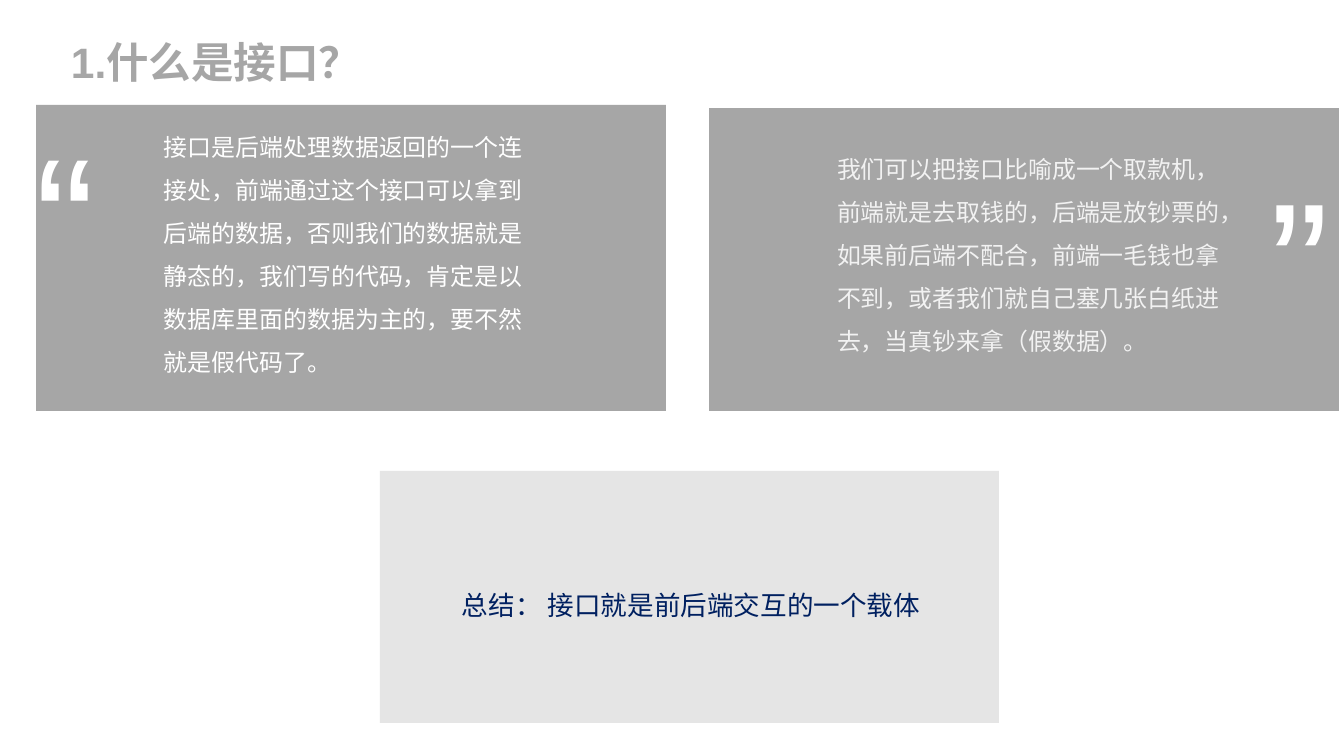
"""Builds a slide that explains what an interface is, with two quotes and a summary."""
from dataclasses import dataclass

from pptx import Presentation
from pptx.dml.color import RGBColor
from pptx.enum.shapes import MSO_SHAPE
from pptx.enum.text import MSO_ANCHOR, MSO_AUTO_SIZE, PP_ALIGN
from pptx.util import Emu, Pt

EMU_PER_PX = 9565


def px(length):
    """Turn whole pixels into EMU."""
    return Emu(length * EMU_PER_PX)


@dataclass(frozen=True)
class Theme:
    """Font, colours and type sizes of the slide."""
    font: str = "Arial"
    gray: str = "A6A6A6"
    pale: str = "E5E5E5"
    white: str = "FFFFFF"
    soft_white: str = "F2F2F2"
    navy: str = "002060"
    title_size: int = 32
    body_size: int = 18
    summary_size: int = 20
    quote_size: int = 135
    body_spacing: float = 1.5


class SlideBuilder:
    """Adds styled elements to one slide."""

    def __init__(self, slide, theme):
        """Keep the slide and its style."""
        self.slide = slide
        self.theme = theme

    def set_text(self, frame, wording, size, color, spacing=1.0, bold=False):
        """Fill a text frame and format its runs."""
        frame.text = wording
        frame.word_wrap = True
        frame.auto_size = MSO_AUTO_SIZE.NONE
        frame.margin_left = frame.margin_right = 0
        frame.margin_top = frame.margin_bottom = 0
        for paragraph in frame.paragraphs:
            paragraph.alignment = PP_ALIGN.LEFT
            paragraph.line_spacing = spacing
            for run in paragraph.runs:
                run.font.name = self.theme.font
                run.font.size = Pt(size)
                run.font.bold = bold
                run.font.color.rgb = RGBColor.from_string(color)

    def title(self, wording, left, top, width, height):
        """Place and format the title placeholder."""
        heading = self.slide.shapes.title
        heading.left, heading.top = px(left), px(top)
        heading.width, heading.height = px(width), px(height)
        self.set_text(heading.text_frame, wording, self.theme.title_size,
                      self.theme.gray, bold=True)
        heading.text_frame.vertical_anchor = MSO_ANCHOR.MIDDLE

    def panel(self, left, top, width, height, color):
        """Add a plain filled rectangle."""
        panel = self.slide.shapes.add_shape(
            MSO_SHAPE.RECTANGLE, px(left), px(top), px(width), px(height))
        panel.shadow.inherit = False
        panel.fill.solid()
        panel.fill.fore_color.rgb = RGBColor.from_string(color)
        panel.line.fill.background()

    def text(self, wording, left, top, width, height, size, color, spacing=1.0):
        """Add a text box and return it."""
        box = self.slide.shapes.add_textbox(px(left), px(top), px(width), px(height))
        self.set_text(box.text_frame, wording, size, color, spacing)
        return box

    def body(self, wording, left, top, width, height, color):
        """Add the running text of a panel."""
        self.text(wording, left, top, width, height, self.theme.body_size,
                  color, self.theme.body_spacing)

    def quote_mark(self, left, top, width, height, rotation=0):
        """Add a large quotation mark."""
        mark = self.text("“", left, top, width, height,
                         self.theme.quote_size, self.theme.white)
        mark.rotation = rotation


def main():
    """Build and save the slide."""
    theme = Theme()
    deck = Presentation()
    deck.slide_width, deck.slide_height = px(1344), px(756)
    builder = SlideBuilder(deck.slides.add_slide(deck.slide_layouts[5]), theme)

    builder.title("1.什么是接口？", 71, 36, 380, 52)

    builder.panel(709, 108, 630, 303, theme.gray)
    builder.body("我们可以把接口比喻成一个取款机，前端就是去取钱的，后端是放钞票的，"
                 "如果前后端不配合，前端一毛钱也拿不到，或者我们就自己塞几张白纸进去，"
                 "当真钞来拿（假数据）。", 837, 140, 392, 217, theme.soft_white)
    builder.quote_mark(1230, 69, 99, 233, rotation=180)

    builder.panel(380, 471, 619, 252, theme.pale)
    builder.text("总结： 接口就是前后端交互的一个载体", 462, 573, 488, 48,
                 theme.summary_size, theme.navy, theme.body_spacing)

    builder.panel(36, 105, 630, 306, theme.gray)
    builder.body("接口是后端处理数据返回的一个连接处，前端通过这个接口可以拿到后端的数据，"
                 "否则我们的数据就是静态的，我们写的代码，肯定是以数据库里面的数据为主的，"
                 "要不然就是假代码了。", 164, 118, 374, 261, theme.white)
    builder.quote_mark(36, 105, 99, 205)

    deck.save("out.pptx")


if __name__ == "__main__":
    main()
